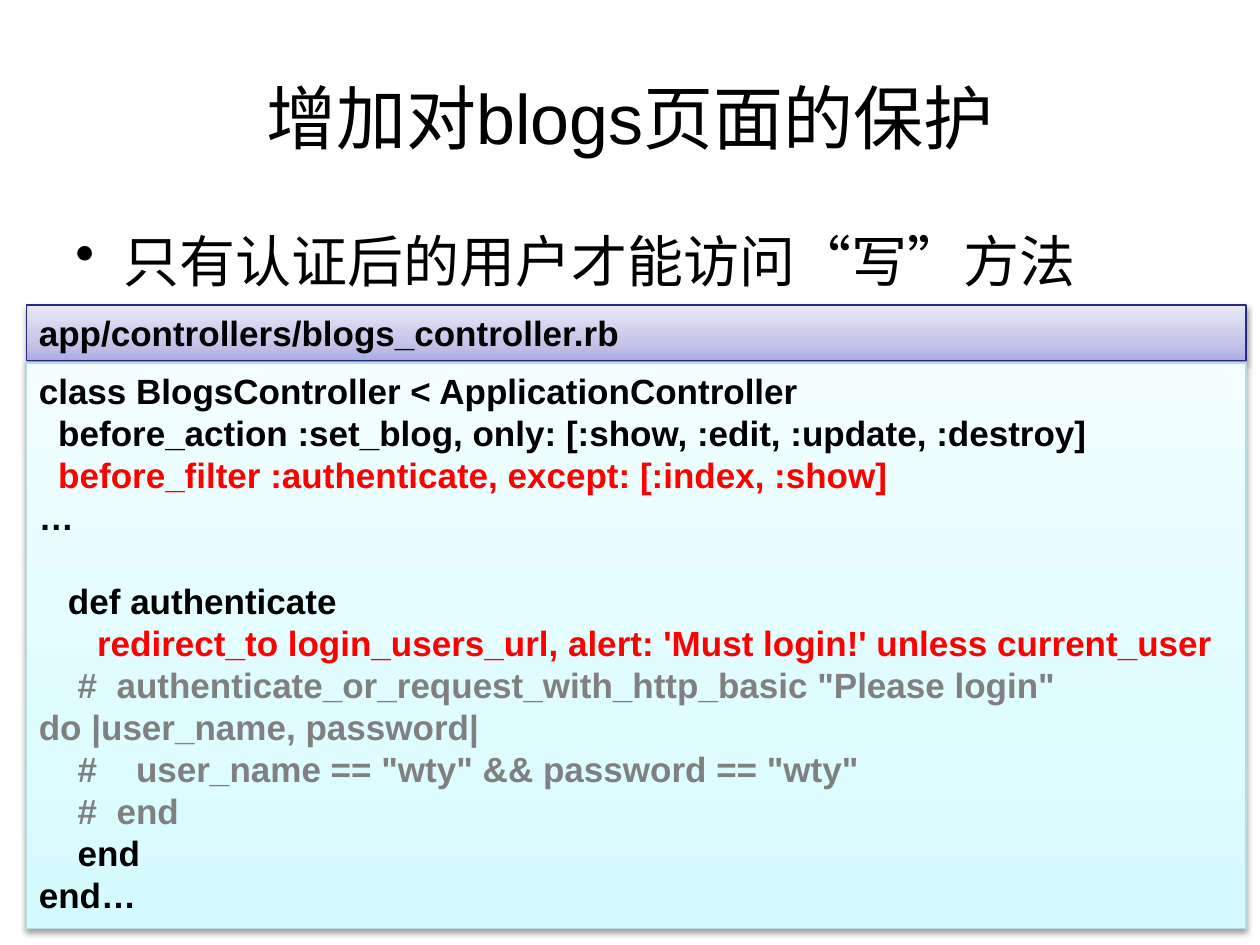
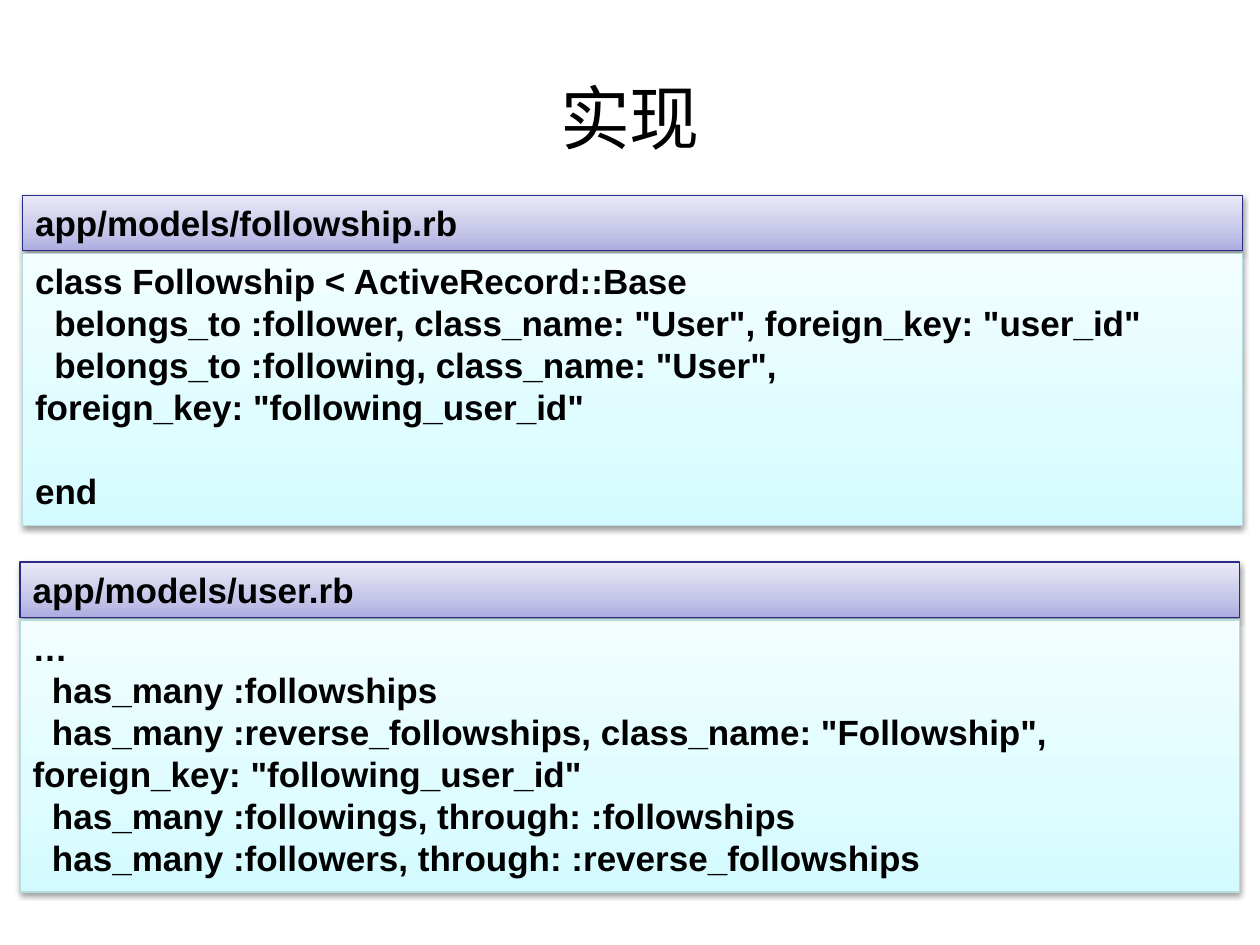
import copy

import pptx
import pptx.dml.color
import pptx.enum.shapes
import pptx.enum.text
import pptx.oxml
import pptx.oxml.ns
import pptx.util

Inches = pptx.util.Inches
Pt = pptx.util.Pt
RGBColor = pptx.dml.color.RGBColor
Align = pptx.enum.text.PP_ALIGN
Anchor = pptx.enum.text.MSO_ANCHOR

# Shared look
BLACK = RGBColor(0x00, 0x00, 0x00)
RED = RGBColor(0xFF, 0x00, 0x00)
GRAY = RGBColor(0x80, 0x80, 0x80)
HEADER_LINE = RGBColor(0x2A, 0x2A, 0x89)
CODE_LINE = RGBColor(0xB6, 0xDC, 0xDF)
HEADER_FILL = [RGBColor(0xAD, 0xAD, 0xE1), RGBColor(0xC6, 0xC6, 0xE9), RGBColor(0xE9, 0xE9, 0xF7)]
CODE_FILL = [RGBColor(0xD3, 0xFB, 0xFF), RGBColor(0xDF, 0xFC, 0xFF), RGBColor(0xF2, 0xFE, 0xFF)]
STOP_POSITIONS = [0, 0.35, 1]

TITLE_FONT = {"name": "Arial", "size": Pt(40), "color": BLACK}
BULLET_FONT = {"name": "Arial", "size": Pt(32), "color": BLACK}
CODE_FONT = {"name": "Arial", "size": Pt(20), "bold": True, "color": BLACK}
LINE_HEIGHT = Pt(24)

PANEL_WIDTH = 9.68
HEADER_HEIGHT = 0.44
BODY_OFFSET = 0.46

SHADOW = (
    '<a:outerShdw %s blurRad="39370" dist="20320" dir="5400000" rotWithShape="0">'
    '<a:srgbClr val="000000"><a:alpha val="38000"/></a:srgbClr></a:outerShdw>'
    % pptx.oxml.ns.nsdecls("a")
)

# Code lines: a string is black, a pair carries its colour, an empty string is a gap
BLOGS_CONTROLLER = [
    "class BlogsController < ApplicationController",
    "  before_action :set_blog, only: [:show, :edit, :update, :destroy]",
    ("  before_filter :authenticate, except: [:index, :show]", RED),
    "…",
    "",
    "   def authenticate",
    ("      redirect_to login_users_url, alert: 'Must login!' unless current_user", RED),
    ('    #  authenticate_or_request_with_http_basic "Please login"\vdo |user_name, password|', GRAY),
    ('    #    user_name == "wty" && password == "wty"', GRAY),
    ("    #  end", GRAY),
    "    end",
    "end…",
]
FOLLOWSHIP_MODEL = [
    "class Followship < ActiveRecord::Base",
    '  belongs_to :follower, class_name: "User", foreign_key: "user_id"',
    '  belongs_to :following, class_name: "User",\vforeign_key: "following_user_id"',
    "",
    "end",
]
USER_MODEL = [
    "…",
    "  has_many :followships",
    '  has_many :reverse_followships, class_name: "Followship",\vforeign_key: "following_user_id"',
    "  has_many :followings, through: :followships",
    "  has_many :followers, through: :reverse_followships",
]


def write(para, text, style):
    """Fill a paragraph; a vertical tab becomes a line break."""
    para.text = text
    for span in para.runs:
        for key, value in style.items():
            if key == "color":
                span.font.color.rgb = value
            else:
                setattr(span.font, key, value)


def add_page(deck, title):
    page = deck.slides.add_slide(deck.slide_layouts[5])
    box = page.shapes.title
    box.left, box.top, box.width, box.height = map(Inches, (0.5, 0.3, 9, 1.25))
    box.text_frame.vertical_anchor = Anchor.MIDDLE
    para = box.text_frame.paragraphs[0]
    write(para, title, TITLE_FONT)
    para.alignment = Align.CENTER
    return page


def add_bullet(page, text):
    box = page.shapes.add_textbox(Inches(0.5), Inches(1.75), Inches(9), Inches(0.67))
    box.text_frame.word_wrap = True
    para = box.text_frame.paragraphs[0]
    properties = para._p.get_or_add_pPr()
    properties.set("marL", str(Inches(0.38)))
    properties.set("indent", str(-Inches(0.38)))
    properties.append(pptx.oxml.parse_xml('<a:buChar %s char="•"/>' % pptx.oxml.ns.nsdecls("a")))
    write(para, text, BULLET_FONT)


def add_bar(group, left, top, height, colors, line_color, lines):
    """A shaded, shadowed rectangle holding lines of code."""
    bar = group.shapes.add_shape(
        pptx.enum.shapes.MSO_SHAPE.RECTANGLE,
        Inches(left), Inches(top), Inches(PANEL_WIDTH), Inches(height))

    # Gradient from bottom to top
    bar.fill.gradient()
    bar.fill.gradient_angle = 90
    stop_list = bar._element.spPr.find(".//" + pptx.oxml.ns.qn("a:gsLst"))
    stop_list.append(copy.deepcopy(stop_list[0]))
    for stop, position, color in zip(bar.fill.gradient_stops, STOP_POSITIONS, colors):
        stop.position = position
        stop.color.rgb = color
    bar.line.color.rgb = line_color
    bar.line.width = Pt(0.75)
    bar.shadow.inherit = False
    effects = bar._element.spPr.find(pptx.oxml.ns.qn("a:effectLst"))
    effects.append(pptx.oxml.parse_xml(SHADOW))

    # Code text
    frame = bar.text_frame
    frame.word_wrap = True
    frame.vertical_anchor = Anchor.TOP
    para, gap = frame.paragraphs[0], Pt(0)
    for index, line in enumerate(lines):
        if not line:
            gap = LINE_HEIGHT
            continue
        text, color = (line, BLACK) if isinstance(line, str) else line
        if index:
            para = frame.add_paragraph()
        para.alignment = Align.LEFT
        para.line_spacing = LINE_HEIGHT
        para.space_before = gap
        write(para, text, {**CODE_FONT, "color": color})
        gap = Pt(0)


def add_code_panel(page, left, top, body_height, file_name, lines):
    group = page.shapes.add_group_shape()
    add_bar(group, left, top, HEADER_HEIGHT, HEADER_FILL, HEADER_LINE, [file_name])
    add_bar(group, left, top + BODY_OFFSET, body_height, CODE_FILL, CODE_LINE, lines)


def main():
    deck = pptx.Presentation()
    deck.slide_width, deck.slide_height = Inches(10), Inches(7.5)

    # Protecting the blogs pages
    page = add_page(deck, "增加对blogs页面的保护")
    add_bullet(page, "只有认证后的用户才能访问“写”方法")
    add_code_panel(page, 0.21, 2.42, 4.49, "app/controllers/blogs_controller.rb", BLOGS_CONTROLLER)

    # Implementation in the models
    page = add_page(deck, "实现")
    add_code_panel(page, 0.18, 1.55, 2.16, "app/models/followship.rb", FOLLOWSHIP_MODEL)
    add_code_panel(page, 0.16, 4.46, 2.16, "app/models/user.rb", USER_MODEL)

    deck.save("out.pptx")


if __name__ == "__main__":
    main()
